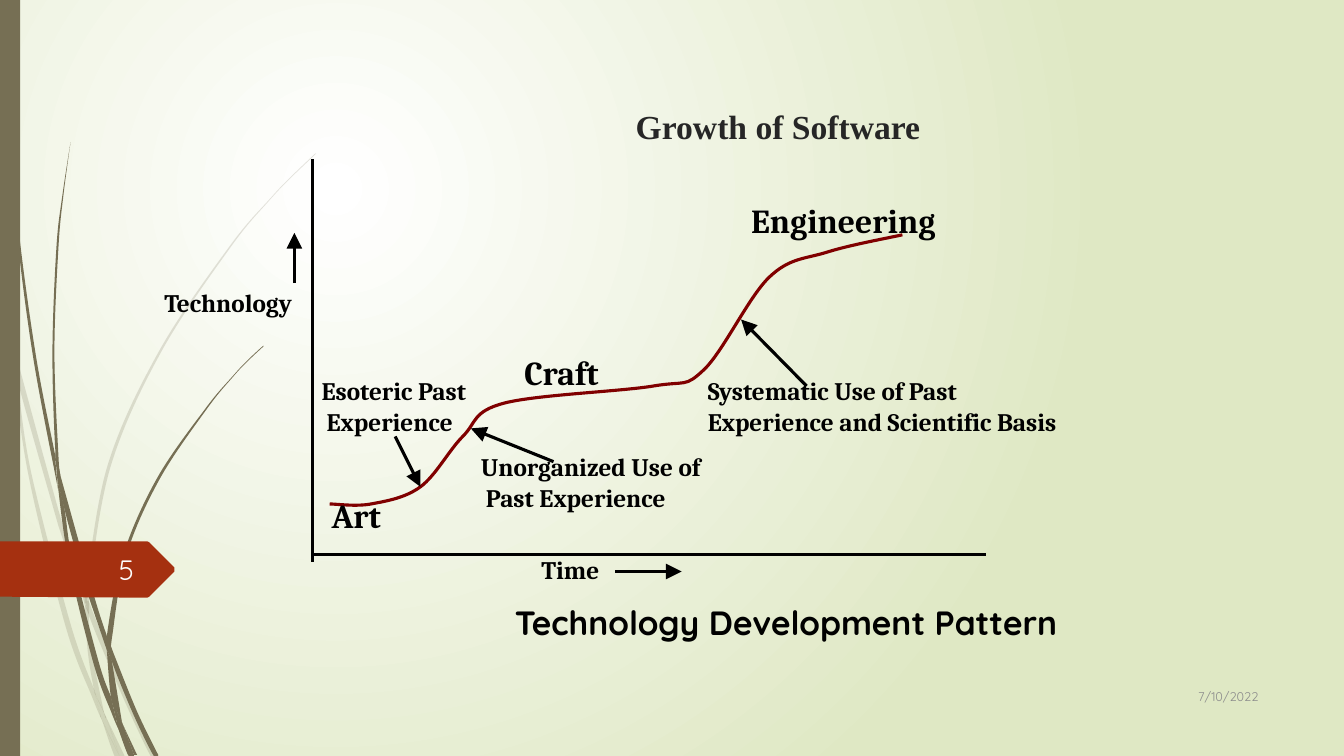
from pptx import Presentation
from pptx.dml.color import RGBColor
from pptx.enum.shapes import MSO_CONNECTOR, MSO_SHAPE
from pptx.enum.text import MSO_ANCHOR, PP_ALIGN
from pptx.oxml.ns import qn
from pptx.util import Cm, Pt
from lxml import etree

LEFT, CENTER, RIGHT = PP_ALIGN.LEFT, PP_ALIGN.CENTER, PP_ALIGN.RIGHT
TOP, MIDDLE, BOTTOM = MSO_ANCHOR.TOP, MSO_ANCHOR.MIDDLE, MSO_ANCHOR.BOTTOM
STRAIGHT, RECT = MSO_CONNECTOR.STRAIGHT, MSO_SHAPE.RECTANGLE

COLORS = {"white": "FFFFFF", "pale": "DFE8C4", "olive": "766F54",
          "rust": "A53010", "black": "000000", "maroon": "800000",
          "gray": "8C8C8C", "snow": "FEFFFF", "dark": "262626"}
STROKE = Pt(2.24)

# Outlines of the grass pieces, each closed back to its first knot
FAINT = [
    [(.11, 3.5), (.09, 3.22), (0, 2.82), (0, 2.99), (.1, 3.44)],
    [(.58, 5.22), (.84, 5.99), (.85, 5.86), (.62, 5.2), (.14, 3.45), (.17, 3.76)],
    [(.92, 6.07), (.88, 5.96), (.88, 6.1), (1.23, 6.94), (1.5, 7.51), (1.55, 7.51), (1.27, 6.92)],
    [(1.19, 7.51), (1.24, 7.51), (1.05, 7.11)],
    [(.93, 6.83), (.7, 6.19), (.31, 4.69), (.17, 3.76), (.11, 3.5), (.28, 4.7),
     (.65, 6.21), (.92, 6.93), (1.01, 7.14), (.99, 7.07)],
    [(.84, 5.99), (.87, 6.46), (.93, 6.83), (.96, 6.92), (1.05, 7.11), (1.03, 7.06),
     (.91, 6.46), (.88, 6.1), (.88, 6.08)],
    [(.88, 5.84), (1.1, 4.62), (1.6, 3.49), (2.29, 2.45), (2.68, 1.98), (2.9, 1.75),
     (3.12, 1.54), (3.12, 1.53), (2.89, 1.75), (2.68, 1.97), (2.28, 2.44), (1.58, 3.48),
     (1.07, 4.61), (.85, 5.84), (.85, 5.86), (.88, 5.96)],
    [(1.01, 7.14), (1.14, 7.51), (1.19, 7.51)],
    [(.88, 6.08), (.88, 6.1), (.88, 5.96), (.85, 5.86), (.84, 5.99)],
    [(.96, 6.92), (.93, 6.83), (.99, 7.07), (1.01, 7.14), (1.19, 7.51), (1.05, 7.11)],
]
BOLD = [
    [(.07, 1.1), (.17, 2.33), (.33, 3.55), (.56, 4.77), (.57, 4.81), (.55, 4.57), (.55, 4.53),
     (.36, 3.55), (.19, 2.32), (.08, 1.09), (.05, .48), (.04, 0), (.03, 0), (.04, .48)],
    [(.88, 5.92), (1.06, 6.45), (1.06, 6.33), (1.06, 6.31), (.93, 5.9), (.6, 4.72), (.64, 5.05)],
    [(1.13, 6.49), (1.1, 6.41), (1.11, 6.56), (1.32, 7.08), (1.52, 7.49), (1.57, 7.49),
     (1.36, 7.06)],
    [(1.1, 6.91), (.98, 6.57), (.72, 5.56), (.64, 5.05), (.57, 4.77), (.68, 5.57),
     (.93, 6.59), (1.11, 7.08), (1.17, 7.22), (1.16, 7.17)],
    [(.6, 4.72), (.58, 4.53), (.54, 3.49), (.58, 2.45), (.63, 1.93), (.7, 1.41),
     (.62, 1.93), (.56, 2.45), (.52, 3.49), (.55, 4.49)],
    [(1.33, 7.49), (1.36, 7.49), (1.22, 7.19)],
    [(.57, 4.77), (.64, 5.05), (.6, 4.72), (.55, 4.49), (.55, 4.53)],
    [(1.11, 6.33), (1.25, 5.52), (1.58, 4.76), (2.05, 4.06), (2.31, 3.74), (2.45, 3.59),
     (2.61, 3.44), (2.6, 3.44), (2.45, 3.58), (2.31, 3.73), (2.04, 4.05), (1.56, 4.74),
     (1.22, 5.51), (1.06, 6.31), (1.1, 6.41)],
    [(1.17, 7.22), (1.27, 7.49), (1.31, 7.49)],
    [(1.06, 6.45), (1.1, 6.91), (1.16, 7.06), (1.22, 7.19), (1.21, 7.16), (1.11, 6.56),
     (1.09, 6.51)],
    [(1.06, 6.45), (1.09, 6.51), (1.11, 6.56), (1.1, 6.41), (1.06, 6.31), (1.06, 6.33)],
    [(1.16, 7.06), (1.1, 6.91), (1.16, 7.17), (1.17, 7.22), (1.3, 7.49), (1.33, 7.49),
     (1.22, 7.19)],
]
TAG = [(0, 5.37), (1.46, 5.37), (1.48, 5.38), (1.73, 5.63), (1.73, 5.67),
       (1.48, 5.92), (1.46, 5.93), (0, 5.92)]

# Plot parts, measured from the corner of the plot box
GROWTH = [(.27, 3.5), (.68, 3.5), (1.17, 3.33), (1.59, 2.83), (2, 2.5),
          (3.48, 2.33), (3.98, 2.17), (4.63, 1.25), (5.21, 1), (5.95, .83)]
AXES = [(.1, .08, .1, 4.08), (.1, 4, 6.78, 4)]
ARROWS = [(5, 2.33, 4.35, 1.67), (.92, 2.83, 1.17, 3.33), (2.49, 3.08, 1.67, 2.75),
          (-.08, 1.31, -.08, .81), (3.1, 4.17, 3.76, 4.17)]
STAGES = [("Art", (.27, 3.42, .99, .5)), ("Craft", (2.18, 2, 1.07, .5)),
          ("Engineering", (4.43, .5, 2.06, .5))]
# Lines of text, box, space before, indent of second line
NOTES = [(["Esoteric Past", "Experience"], (.17, 2.22, 1.6, .74), 4.1, .05),
         (["Systematic Use of Past", "Experience and Scientific Basis"],
          (4, 2.22, 3.53, 1.03), 4.1, 0),
         (["Unorganized Use of", "Past Experience"], (1.75, 2.97, 2.3, 1.03), 4.1, .05),
         (["Technology"], (-1.39, 1.35, 1.44, .68), 4.1, 0),
         (["Time"], (2.35, 4, 1.73, .4), 10.4, 0)]


def inch(n):
    return Cm(n * 2.54)


def color(name):
    return RGBColor.from_string(COLORS[name])


def shift(box, part):
    return box[0] + part[0], box[1] + part[1], part[2], part[3]


def slope(a, b, c):
    """Handle at b: along its neighbours, or none where the outline turns back."""
    turn = sum((q - p) * (r - q) for p, q, r in zip(a, b, c))
    return [(r - p) / 6 if turn > 0 else 0 for p, r in zip(a, c)]


def smooth(shape):
    """Turn the straight segments into curves through the same knots."""
    trail = shape.element.spPr.find(".//" + qn("a:path"))
    knots = [(int(p.get("x")), int(p.get("y"))) for p in trail.iter(qn("a:pt"))]
    ends = [knots[0], *knots, knots[-1]]
    slopes = [slope(*trio) for trio in zip(ends, ends[1:], ends[2:])]
    slopes[0] = [(q - p) / 6 for p, q in zip(*knots[:2])]
    slopes[-1] = [(q - p) / 6 for p, q in zip(*knots[-2:])]
    for i, step in enumerate(trail.findall(qn("a:lnTo"))):
        bend = etree.Element(qn("a:cubicBezTo"))
        lead = [p + d for p, d in zip(knots[i], slopes[i])]
        tail = [p - d for p, d in zip(knots[i + 1], slopes[i + 1])]
        for x, y in (lead, tail, knots[i + 1]):
            etree.SubElement(bend, qn("a:pt"), x=str(round(x)), y=str(round(y)))
        trail.replace(step, bend)


def outline(shapes, box, knots, close):
    dots = [(inch(box[0] + x), inch(box[1] + y)) for x, y in knots]
    pen = shapes.build_freeform(*dots[0], scale=1.0)
    pen.add_line_segments(dots[1:] + dots[:1] * close, close=close)
    shape = pen.convert_to_shape()
    shape.shadow.inherit = False
    return shape


def paint(shape, name):
    shape.fill.solid()
    shape.fill.fore_color.rgb = color(name)
    shape.line.fill.background()
    shape.shadow.inherit = False


def write(slide, box, lines, size, face, tint, bold=False, align=LEFT, anchor=TOP,
          before=0, space=1.0, side=.02, indent=0):
    frame = slide.shapes.add_textbox(*map(inch, box)).text_frame
    frame.word_wrap = True
    frame.vertical_anchor = anchor
    frame.margin_left = frame.margin_right = inch(side)
    frame.text = "\n".join(lines)
    for para in frame.paragraphs:
        para.alignment, para.line_spacing = align, space
        para.space_before = Pt(before)
        font = para.font
        font.size, font.name, font.bold = Pt(size), face, bold
        font.color.rgb = color(tint)
    if indent:
        para._p.get_or_add_pPr().set("marL", str(inch(indent)))


def line(slide, box, ends, head=False):
    x, y = box[:2]
    a, b, c, d = ends
    link = slide.shapes.add_connector(STRAIGHT, inch(x + a), inch(y + b),
                                      inch(x + c), inch(y + d))
    link.line.color.rgb = color("black")
    link.line.width = STROKE
    props = link.element.spPr
    if head:
        etree.SubElement(props.find(qn("a:ln")), qn("a:tailEnd"),
                         type="triangle", w="lg", len="lg")
    etree.SubElement(props, qn("a:effectLst"))


def backdrop(slide):
    fill = slide.background.fill
    fill.gradient()
    for stop, name, place in zip(fill.gradient_stops, ("white", "pale"), (0, 1)):
        stop.color.rgb, stop.position = color(name), place
    grad = slide.element.find(".//" + qn("a:gradFill"))
    grad.remove(grad.find(qn("a:lin")))
    ring = etree.SubElement(grad, qn("a:path"), path="circle")
    etree.SubElement(ring, qn("a:fillToRect"), l="50000", t="50000", r="100000", b="100000")


def margin(slide, box):
    # Grass
    for blades, solid in ((FAINT, 20), (BOLD, 100)):
        tuft = slide.shapes.add_group_shape()
        for knots in blades:
            blade = outline(tuft.shapes, box, knots, True)
            smooth(blade)
            paint(blade, "olive")
            if solid < 100:
                tone = blade.element.spPr.find(".//" + qn("a:srgbClr"))
                etree.SubElement(tone, qn("a:alpha"), val=str(solid * 1000))
    # Side bar and page tag
    bar = slide.shapes.add_shape(RECT, *map(inch, shift(box, (0, 0, .2, box[3]))))
    paint(bar, "olive")
    paint(outline(slide.shapes, box, TAG, True), "rust")
    write(slide, shift(box, (.58, 5.45, .85, .4)), ["5"], 20, "Quicksand", "snow",
          align=RIGHT, anchor=MIDDLE, side=.1)


def plot(slide, box):
    for ends in AXES:
        line(slide, box, ends)
    curve = outline(slide.shapes, box, GROWTH, False)
    smooth(curve)
    curve.fill.background()
    curve.line.color.rgb = color("maroon")
    curve.line.width = STROKE
    for text, part in STAGES:
        write(slide, shift(box, part), [text], 24, "Cambria", "black", True,
              before=13.8, space=.85)
    for lines, part, before, indent in NOTES:
        write(slide, shift(box, part), lines, 18, "Cambria", "black", True,
              before=before, space=.85, indent=indent)
    for ends in ARROWS:
        line(slide, box, ends, True)


def titles(slide, box):
    write(slide, shift(box, (0, 0, 9.75, .82)), ["Growth of Software"], 24,
          "Times New Roman", "dark", True, CENTER, BOTTOM, side=.1)
    write(slide, shift(box, (.08, 5.18, 9.75, .62)), ["Technology Development Pattern"],
          24, "Quicksand", "black", True, CENTER, MIDDLE, before=8)
    write(slide, shift(box, (8.49, 6.02, 1.25, .41)), ["7/10/2022"], 9, "Quicksand",
          "gray", align=RIGHT, anchor=MIDDLE, side=.1)


deck = Presentation()
deck.slide_width, deck.slide_height = inch(13.33), inch(7.5)
page = deck.slides.add_slide(deck.slide_layouts[6])
backdrop(page)
margin(page, (0, 0, 3.12, 7.5))
plot(page, (3, 1.5, 7.53, 4.5))
titles(page, (2.84, .68, 9.83, 6.43))
deck.save("out.pptx")
